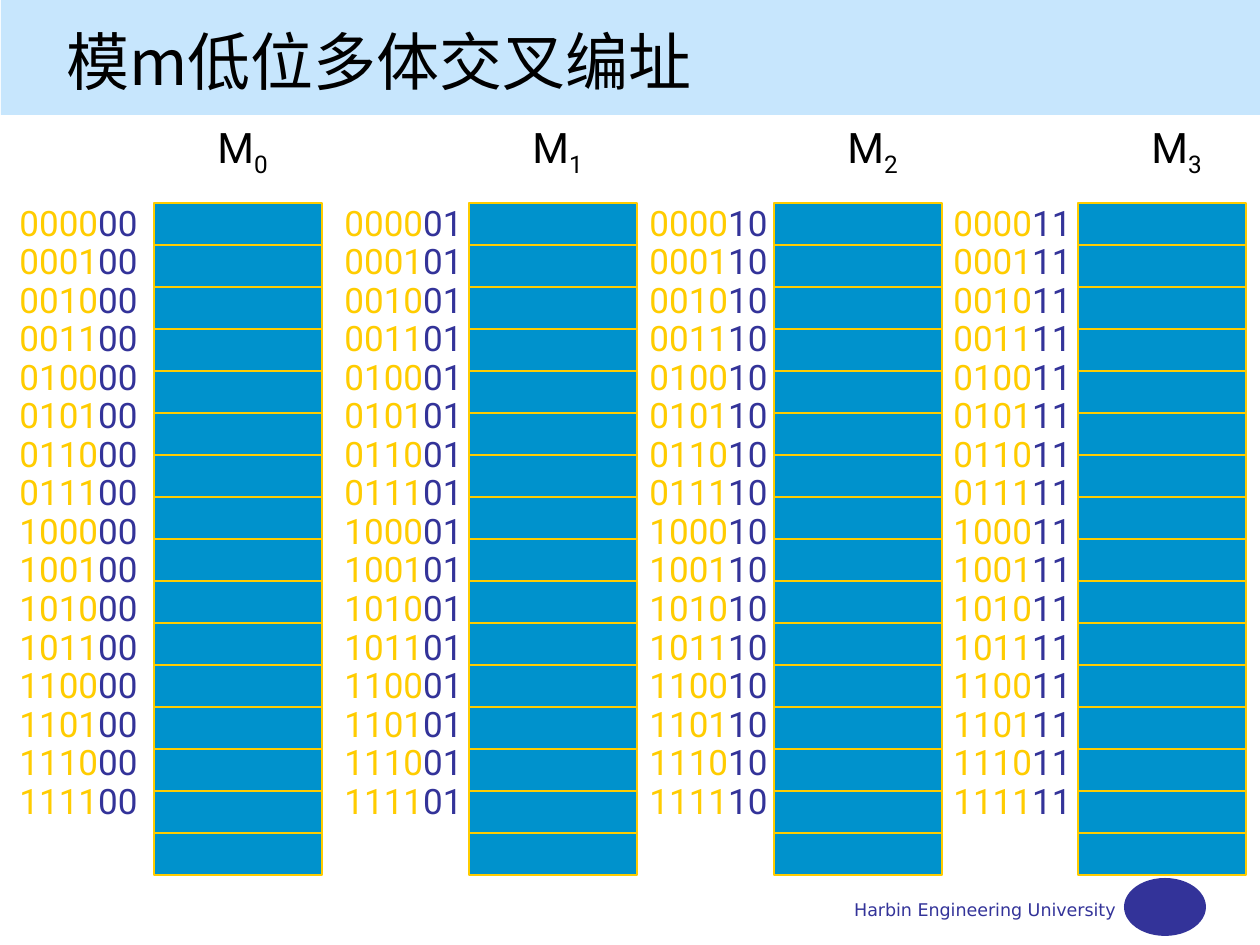
from pptx import Presentation, util as u
from pptx.dml.color import RGBColor
from pptx.enum import shapes as s, text as t
from pptx.oxml.ns import qn
from lxml import etree

SCALE = 914400 / 126
GOLD, NAVY, BLUE = "FFCC00", "333399", "0092CC"


def box(*nums):
    return [u.Emu(round(n * SCALE)) for n in nums]


def write(para, words, size, face, hue):
    run = para.add_run()
    run.text = words
    look = {"size": u.Pt(size), "name": face, "bold": False}
    for key, val in look.items():
        setattr(run.font, key, val)
    run.font.color.rgb = RGBColor.from_string(hue)
    return run


deck = Presentation()
deck.slide_width, deck.slide_height = box(1260, 945)
page = deck.slides.add_slide(deck.slide_layouts[5])
draw = page.shapes
kind = s.MSO_SHAPE

plain = [
    (kind.RECTANGLE, (1, 0, 1259, 115), "C7E6FD"),
    (kind.OVAL, (1124, 878, 82, 58), NAVY),
]
for form, area, hue in plain:
    shape = draw.add_shape(form, *box(*area))
    shape.shadow.inherit = False
    shape.fill.solid()
    shape.fill.fore_color.rgb = RGBColor.from_string(hue)
    shape.line.fill.background()

frame = draw.add_textbox(*box(582, 893, 546, 41)).text_frame
frame.word_wrap = True
para = frame.paragraphs[0]
para.alignment = t.PP_ALIGN.RIGHT
write(para, "Harbin Engineering University", 10, "DejaVu Sans", NAVY)

ROWS, CELL, TOP, WIDE = 16, 42, 203, 168
banks = [(154, 7, 205), (469, 332, 520), (774, 637, 835), (1078, 941, 1139)]
for bank, (left, codes, label) in enumerate(banks):
    bar = draw.add_shape(kind.RECTANGLE, *box(left, TOP, WIDE, ROWS * CELL))
    bar.shadow.inherit = False
    bar.fill.solid()
    bar.fill.fore_color.rgb = RGBColor.from_string(BLUE)
    bar.line.color.rgb = RGBColor.from_string(GOLD)
    bar.line.width = u.Pt(0.75)
    for row in range(1, ROWS):
        y = TOP + row * CELL
        rule = draw.add_connector(
            s.MSO_CONNECTOR.STRAIGHT, *box(left, y, left + WIDE, y))
        if row * 2 == ROWS:
            rule.begin_connect(bar, 1)
            rule.end_connect(bar, 3)
        rule.line.color.rgb = RGBColor.from_string(GOLD)
        rule.line.width = u.Pt(0.75)
        etree.SubElement(rule._element.spPr, qn("a:effectLst"))

    frame = draw.add_textbox(*box(codes, 213, WIDE, 664)).text_frame
    frame.word_wrap = True
    for row in range(ROWS):
        para = frame.add_paragraph() if row else frame.paragraphs[0]
        para.line_spacing = 0.5
        if row:
            para.space_before = u.Pt(10)
        write(para, f"{row:04b}", 20, "Roboto", GOLD)
        write(para, f"{bank:02b}", 20, "Roboto", NAVY)

    frame = draw.add_textbox(*box(label, 115, 94, 63)).text_frame
    frame.word_wrap = True
    write(frame.paragraphs[0], "M", 24, "Roboto", "000000")
    sub = write(frame.paragraphs[0], str(bank), 24, "Roboto", "000000")
    sub.font._element.set("baseline", "-25000")

title = draw.title
title.left, title.top, title.width, title.height = box(54, 16, 692, 88)
frame = title.text_frame
form = {
    "word_wrap": False,
    "auto_size": t.MSO_AUTO_SIZE.NONE,
    "vertical_anchor": t.MSO_ANCHOR.MIDDLE,
}
for key, val in form.items():
    setattr(frame, key, val)
frame.paragraphs[0].alignment = t.PP_ALIGN.LEFT
face = "Noto Sans CJK SC"
head = write(frame.paragraphs[0], "模m低位多体交叉编址", 36, face, "000000")
etree.SubElement(head.font._element, qn("a:ea")).set("typeface", face)
draw._spTree.append(title._element)

deck.save("out.pptx")
